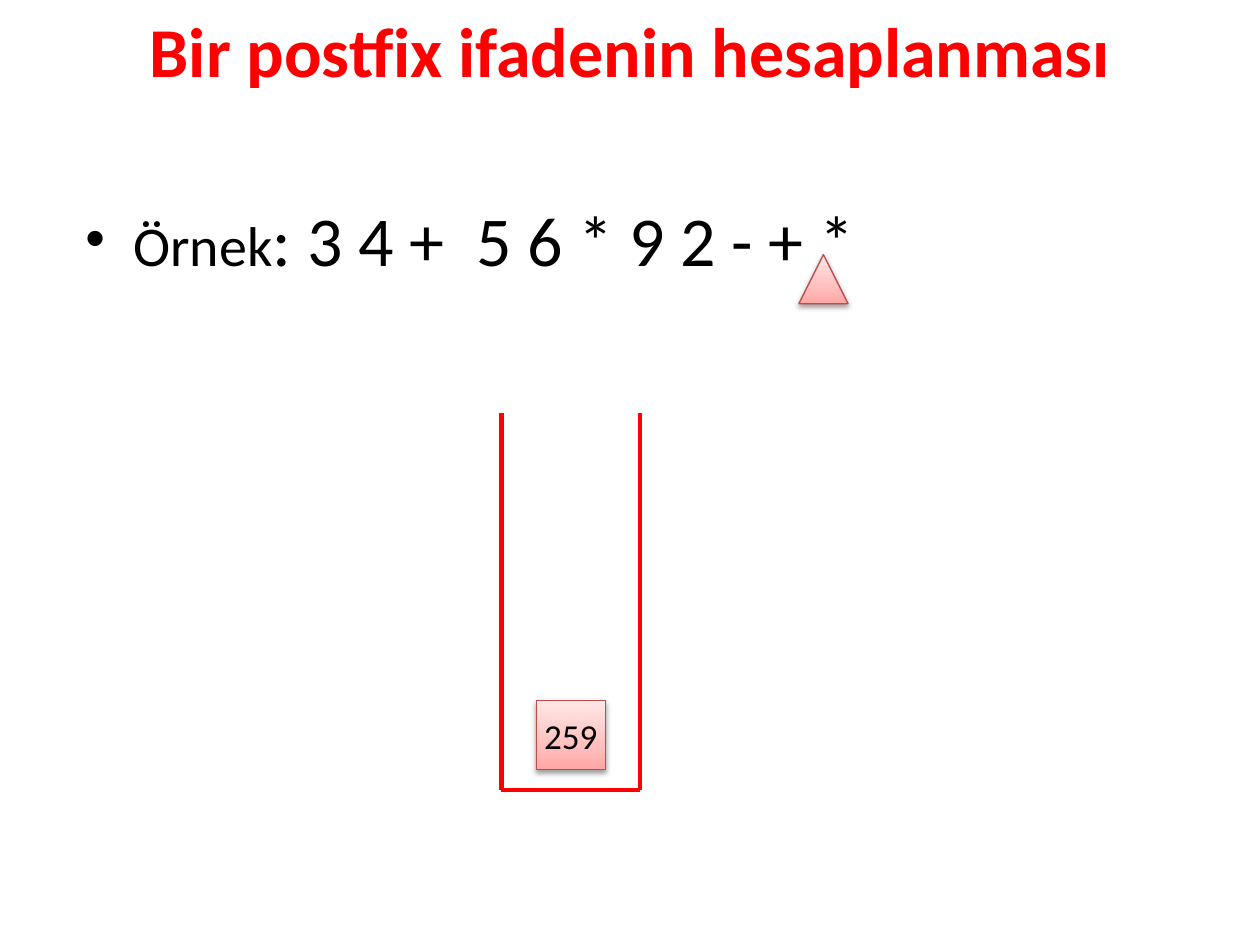
from copy import deepcopy

from lxml.etree import SubElement
from pptx import Presentation
from pptx.dml.color import RGBColor
from pptx.enum.shapes import MSO_CONNECTOR as Link, MSO_SHAPE as Kind
from pptx.enum.text import MSO_ANCHOR as Anchor, PP_ALIGN as Align
from pptx.oxml.ns import qn
from pptx.util import Inches, Pt

FONT = "Calibri"
COLORS = {"red": "FF0000", "black": "000000", "edge": "BF4C48"}
FADE = [(0, "FFA6A5"), (35, "FFC0BF"), (100, "FFE7E7")]

TITLE = "Bir postfix ifadenin hesaplanması"
SAMPLE = [("Örnek", 32), (": 3 4 +  5 6 * 9 2 - + *", 40)]
VALUE = "259"

LEFT, RIGHT, TOP, BASE = 3.98, 5.08, 3.28, 6.27
WALLS = [
    (LEFT, TOP, LEFT, BASE),
    (RIGHT, TOP, RIGHT, BASE),
    (LEFT, BASE, RIGHT, BASE),
]
SIDE = 0.55
CELL = ((LEFT + RIGHT - SIDE) / 2, 5.56, SIDE, SIDE)
MARK = (6.34, 2.02, 0.39, 0.39)


def color(name):
    return RGBColor.from_string(COLORS[name])


def inches(nums):
    return [Inches(n) for n in nums]


def add_run(para, text, size, name="black", bold=False):
    run = para.add_run()
    run.text = text
    font = run.font
    font.name, font.size, font.bold = FONT, Pt(size), bold
    font.color.rgb = color(name)


def add_fade(shape):
    """Fill from dark at the bottom through three stops to light at the top."""
    fill = shape.fill
    fill.gradient()
    fill.gradient_angle = 90
    stops = shape._element.spPr.find(".//" + qn("a:gsLst"))
    stops.append(deepcopy(stops[-1]))
    for stop, (pos, tone) in zip(fill.gradient_stops, FADE):
        stop.position = pos / 100
        stop.color.rgb = RGBColor.from_string(tone)


def add_shadow(shape):
    shape.shadow.inherit = False
    effects = shape._element.spPr.find(qn("a:effectLst"))
    outer = SubElement(effects, qn("a:outerShdw"), blurRad=str(Pt(3.1)),
                       dist=str(Pt(1.6)), dir="5400000", rotWithShape="0")
    tone = SubElement(outer, qn("a:srgbClr"), val=COLORS["black"])
    SubElement(tone, qn("a:alpha"), val="38000")


def add_block(slide, kind, place):
    shape = slide.shapes.add_shape(kind, *inches(place))
    add_fade(shape)
    shape.line.color.rgb = color("edge")
    shape.line.width = Pt(0.75)
    add_shadow(shape)
    return shape


def add_title(slide):
    title = slide.shapes.title
    title.left, title.top, title.width, title.height = inches((0, -0.03, 10, 0.85))
    frame = title.text_frame
    frame.vertical_anchor = Anchor.MIDDLE
    para = frame.paragraphs[0]
    para.alignment = Align.CENTER
    add_run(para, TITLE, 40, "red", True)


def add_sample(slide):
    frame = slide.shapes.add_textbox(*inches((0.58, 1.51, 9, 1.02))).text_frame
    frame.word_wrap = True
    para = frame.paragraphs[0]
    props = para._p.get_or_add_pPr()
    props.set("marL", str(Inches(0.38)))
    props.set("indent", str(Inches(-0.38)))
    SubElement(props, qn("a:buFont"), typeface="Arial")
    SubElement(props, qn("a:buChar"), char="•")
    for text, size in SAMPLE:
        add_run(para, text, size)


def add_stack(slide):
    group = slide.shapes.add_group_shape()
    for wall in WALLS:
        line = group.shapes.add_connector(Link.STRAIGHT, *inches(wall))
        line.line.color.rgb = color("red")
        line.line.width = Pt(2.5)
        SubElement(line._element.spPr, qn("a:effectLst"))


def add_value(slide):
    frame = add_block(slide, Kind.RECTANGLE, CELL).text_frame
    frame.margin_left = frame.margin_right = Inches(0.04)
    frame.vertical_anchor = Anchor.MIDDLE
    para = frame.paragraphs[0]
    para.alignment = Align.CENTER
    add_run(para, VALUE, 20)


def main():
    deck = Presentation()
    deck.slide_width, deck.slide_height = inches((10, 7.5))
    slide = deck.slides.add_slide(deck.slide_layouts[5])
    add_title(slide)
    add_sample(slide)
    add_stack(slide)
    add_value(slide)
    add_block(slide, Kind.ISOSCELES_TRIANGLE, MARK)
    deck.save("out.pptx")


if __name__ == "__main__":
    main()
